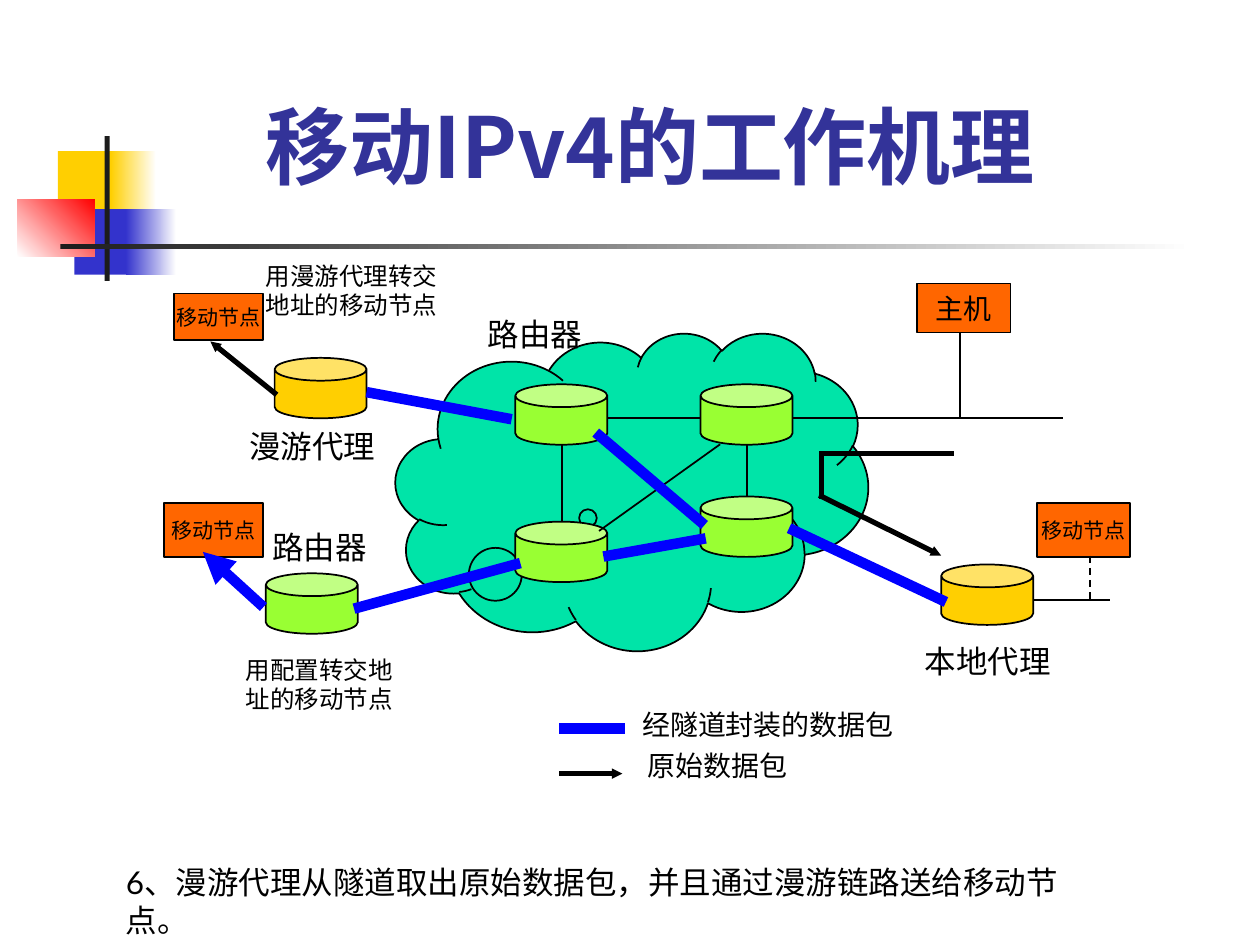
import lxml.etree
import pptx
import pptx.dml.color
import pptx.enum.dml
import pptx.enum.shapes
import pptx.enum.text
import pptx.oxml.ns
import pptx.util

SCALE = 9144
COLORS = {
    "gold": "FFCF01", "indigo": "3333CC", "red": "FF0000", "white": "FFFFFF",
    "charcoal": "1C1C1C", "title": "333399", "black": "000000", "cloud": "00E4A8",
    "green": "99FF33", "orange": "FF6600", "blue": "0000FF",
}
SHAPE = pptx.enum.shapes.MSO_SHAPE
ALIGN = pptx.enum.text.PP_ALIGN
ANCHOR = pptx.enum.text.MSO_ANCHOR
BODY_FONT = "Times New Roman"


def px(value):
    return pptx.util.Emu(value * SCALE)


def rgb(name):
    return pptx.dml.color.RGBColor.from_string(COLORS[name])


def add_child(parent, tag, **attributes):
    return lxml.etree.SubElement(parent, pptx.oxml.ns.qn(tag), attributes)


def write_text(shape, lines, size, font=BODY_FONT, color="black", bold=False,
               align=ALIGN.CENTER, anchor=ANCHOR.TOP, wrap=False):
    frame = shape.text_frame
    frame.word_wrap = wrap
    frame.vertical_anchor = anchor
    frame.text = "\n".join(lines)
    for paragraph in frame.paragraphs:
        paragraph.alignment = align
        paragraph.font.name = font
        paragraph.font.size = pptx.util.Pt(size)
        paragraph.font.bold = bold
        paragraph.font.color.rgb = rgb(color)


class Region:
    def __init__(self, slide, left, top):
        self.shapes = slide.shapes
        self.left = left
        self.top = top

    def place(self, x, y):
        return px(self.left + x), px(self.top + y)

    def shape(self, kind, x, y, width, height, fill, outlined=True, adjustments=()):
        shape = self.shapes.add_shape(kind, *self.place(x, y), px(width), px(height))
        shape.shadow.inherit = False
        for index, value in enumerate(adjustments):
            shape.adjustments[index] = value
        shape.fill.solid()
        shape.fill.fore_color.rgb = rgb(fill)
        if outlined:
            shape.line.color.rgb = rgb("black")
            shape.line.width = pptx.util.Pt(1)
        else:
            shape.line.fill.background()
        return shape

    def gradient(self, x, y, width, height, start, end, angle=0):
        shape = self.shape(SHAPE.RECTANGLE, x, y, width, height, start, outlined=False)
        shape.fill.gradient()
        shape.fill.gradient_angle = angle
        for stop, color in zip(shape.fill.gradient_stops, (start, end)):
            stop.color.rgb = rgb(color)

    def label(self, x, y, width, height, lines, size, **style):
        box = self.shapes.add_textbox(*self.place(x, y), px(width), px(height))
        write_text(box, lines, size, **style)

    def node(self, x, y, width, height, text, size):
        shape = self.shape(SHAPE.RECTANGLE, x, y, width, height, "orange")
        write_text(shape, [text], size, anchor=ANCHOR.MIDDLE)

    def line(self, start, end, color="black", width=1, arrow=None, dashed=False):
        connector = self.shapes.add_connector(
            pptx.enum.shapes.MSO_CONNECTOR.STRAIGHT, *self.place(*start), *self.place(*end))
        connector.line.color.rgb = rgb(color)
        connector.line.width = pptx.util.Pt(width)
        outline = connector.line._get_or_add_ln()
        if dashed:
            connector.line.dash_style = pptx.enum.dml.MSO_LINE.DASH
        else:
            outline.set("cap", "sq")
        if arrow:
            add_child(outline, "a:tailEnd", type="triangle", w=arrow, len=arrow)
        add_child(connector._element.spPr, "a:effectLst")


def add_decoration(slide, left, top):
    region = Region(slide, left, top)
    region.shape(SHAPE.RECTANGLE, 32, 12, 48, 52, "gold", outlined=False)
    region.gradient(74, 12, 36, 52, "gold", "white")
    region.shape(SHAPE.RECTANGLE, 45, 58, 46, 52, "indigo", outlined=False)
    region.gradient(86, 58, 40, 52, "indigo", "white")
    region.gradient(0, 50, 61, 46, "white", "red", angle=45)
    region.shape(SHAPE.RECTANGLE, 69, 0, 4, 115, "charcoal", outlined=False)
    region.gradient(34, 86, 900, 4, "charcoal", "white")


def add_title(slide, left, top, width, height):
    Region(slide, left, top).label(
        0, 0, width, height, ["移动IPv4的工作机理"], 48, font="Noto Sans CJK JP",
        color="title", bold=True, anchor=ANCHOR.BOTTOM, wrap=True)


def add_network(slide, left, top):
    region = Region(slide, left, top)
    region.shape(SHAPE.CLOUD_CALLOUT, 184, 64, 375, 252, "cloud", adjustments=(-0.093, 0.084))
    for x, y, fill in (
        (88, 84, "gold"), (81, 255, "green"), (279, 105, "green"), (426, 105, "green"),
        (279, 214, "green"), (426, 194, "green"), (617, 248, "gold"),
    ):
        region.shape(SHAPE.CAN, x, y, 73, 48, fill, adjustments=(0.378,))

    for x, y, width, height, text, size in (
        (0, 199, 79, 43, "移动节点", 12), (8, 33, 71, 37, "移动节点", 12),
        (598, 25, 74, 39, "主机", 16), (693, 199, 74, 43, "移动节点", 12),
    ):
        region.node(x, y, width, height, text, size)

    for start, end in (
        ((353, 132), (426, 132)), ((316, 153), (316, 214)), ((463, 153), (463, 194)),
        ((346, 221), (441, 153)), ((500, 132), (713, 132)), ((632, 64), (632, 132)),
        ((691, 276), (750, 276)),
    ):
        region.line(start, end)
    region.line((735, 241), (735, 276), dashed=True)

    for start, end, arrow in (
        ((165, 112), (272, 132), None), ((346, 146), (426, 214), None),
        ((155, 282), (279, 248), None), ((76, 279), (31, 238), "med"),
        ((353, 241), (426, 228), None), ((500, 221), (617, 276), None),
    ):
        region.line(start, end, "blue", 6, arrow)

    for start, end, arrow in (
        ((88, 112), (37, 71), "sm"), ((625, 160), (522, 160), None),
        ((522, 160), (522, 194), None), ((522, 194), (617, 241), "sm"),
    ):
        region.line(start, end, width=3, arrow=arrow)

    for x, y, width, text in (
        (592, 305, 124, "本地代理"), (245, 45, 99, "路由器"),
        (74, 214, 99, "路由器"), (56, 134, 124, "漫游代理"),
    ):
        region.label(x, y, width, 40, [text], 18)
    region.label(66, 2, 166, 57, ["用漫游代理转交", "地址的移动节点"], 14)
    region.label(50, 315, 147, 57, ["用配置转交地", "址的移动节点"], 14)


def add_legend(slide, left, top):
    region = Region(slide, left, top)
    region.line((2, 21), (46, 21), "blue", 6)
    region.label(48, 0, 231, 37, ["经隧道封装的数据包"], 16)
    region.line((0, 57), (48, 57), width=3, arrow="sm")
    region.label(24, 32, 199, 37, ["原始数据包"], 16, wrap=True)


def add_caption(slide, left, top, width, height):
    Region(slide, left, top).label(
        0, 0, width, height, ["6、漫游代理从隧道取出原始数据包，并且通过漫游链路送给移动节点。"],
        18, font="Lato", align=ALIGN.LEFT, wrap=True)


def main():
    presentation = pptx.Presentation()
    presentation.slide_width = px(1000)
    presentation.slide_height = px(750)
    slide = presentation.slides.add_slide(presentation.slide_layouts[6])
    add_decoration(slide, 14, 108)
    add_title(slide, 90, 0, 852, 160)
    add_network(slide, 130, 200)
    add_legend(slide, 446, 557)
    add_caption(slide, 90, 680, 775, 70)
    presentation.save("out.pptx")


if __name__ == "__main__":
    main()
